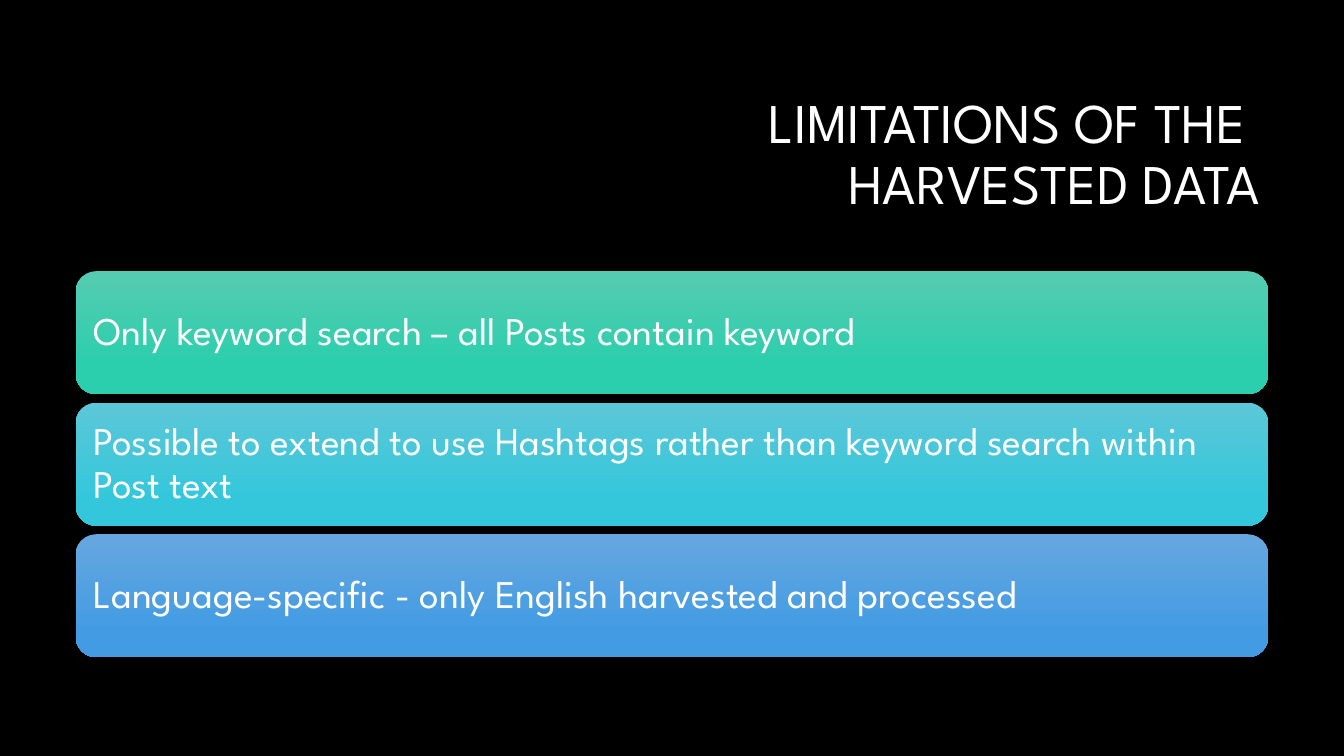
import pptx
import pptx.dml.color
import pptx.enum.shapes
import pptx.enum.text
import pptx.util

Inches = pptx.util.Inches
RGB = pptx.dml.color.RGBColor.from_string
Align = pptx.enum.text.PP_ALIGN

THEME = {
    "background": "000000",
    "text": "FFFFFF",
    "font": "League Spartan",
    "title_size": 40,
    "bar_size": 28,
    "fade_end": 0.78,
}
LIMITATIONS = [
    ("Only keyword search – all Posts contain keyword", "55CCB1", "2BCEAD"),
    ("Possible to extend to use Hashtags rather than keyword search within Post text",
     "5CC7D8", "34C7DB"),
    ("Language-specific - only English harvested and processed", "66A7E0", "439CE3"),
]
BAR_LEFT, BAR_TOP, BAR_WIDTH, BAR_HEIGHT = 0.75, 2.69, 11.83, 1.22
BAR_PITCH = 1.305
BAR_INSET = 0.12


def write(box, text, size, alignment):
    frame = box.text_frame
    frame.word_wrap = True
    frame.vertical_anchor = pptx.enum.text.MSO_ANCHOR.MIDDLE
    para = frame.paragraphs[0]
    para.text = text
    para.alignment = alignment
    para.line_spacing = 0.9
    for name, value in {"name": THEME["font"], "size": pptx.util.Pt(size)}.items():
        for span in para.runs:
            setattr(span.font, name, value)
    for span in para.runs:
        span.font.color.rgb = RGB(THEME["text"])


deck = pptx.Presentation()
deck.slide_width, deck.slide_height = Inches(13.33), Inches(7.5)
page = deck.slides.add_slide(deck.slide_layouts[6])
page.background.fill.solid()
page.background.fill.fore_color.rgb = RGB(THEME["background"])

title = page.shapes.add_textbox(Inches(3.17), Inches(0.84), Inches(9.42), Inches(1.41))
write(title, "LIMITATIONS OF THE \vHARVESTED DATA", THEME["title_size"], Align.RIGHT)

for row, (text, top_color, bottom_color) in enumerate(LIMITATIONS):
    bar = page.shapes.add_shape(
        pptx.enum.shapes.MSO_SHAPE.ROUNDED_RECTANGLE,
        Inches(BAR_LEFT), Inches(BAR_TOP + row * BAR_PITCH),
        Inches(BAR_WIDTH), Inches(BAR_HEIGHT),
    )
    bar.shadow.inherit = False
    bar.line.fill.background()
    bar.fill.gradient()
    bar.fill.gradient_angle = 270
    fade = [(0, top_color), (THEME["fade_end"], bottom_color)]
    for stop, (position, color) in zip(bar.fill.gradient_stops, fade):
        stop.position = position
        stop.color.rgb = RGB(color)
    for side in ("left", "top", "right", "bottom"):
        setattr(bar.text_frame, f"margin_{side}", Inches(BAR_INSET))
    write(bar, text, THEME["bar_size"], Align.LEFT)

deck.save("out.pptx")
